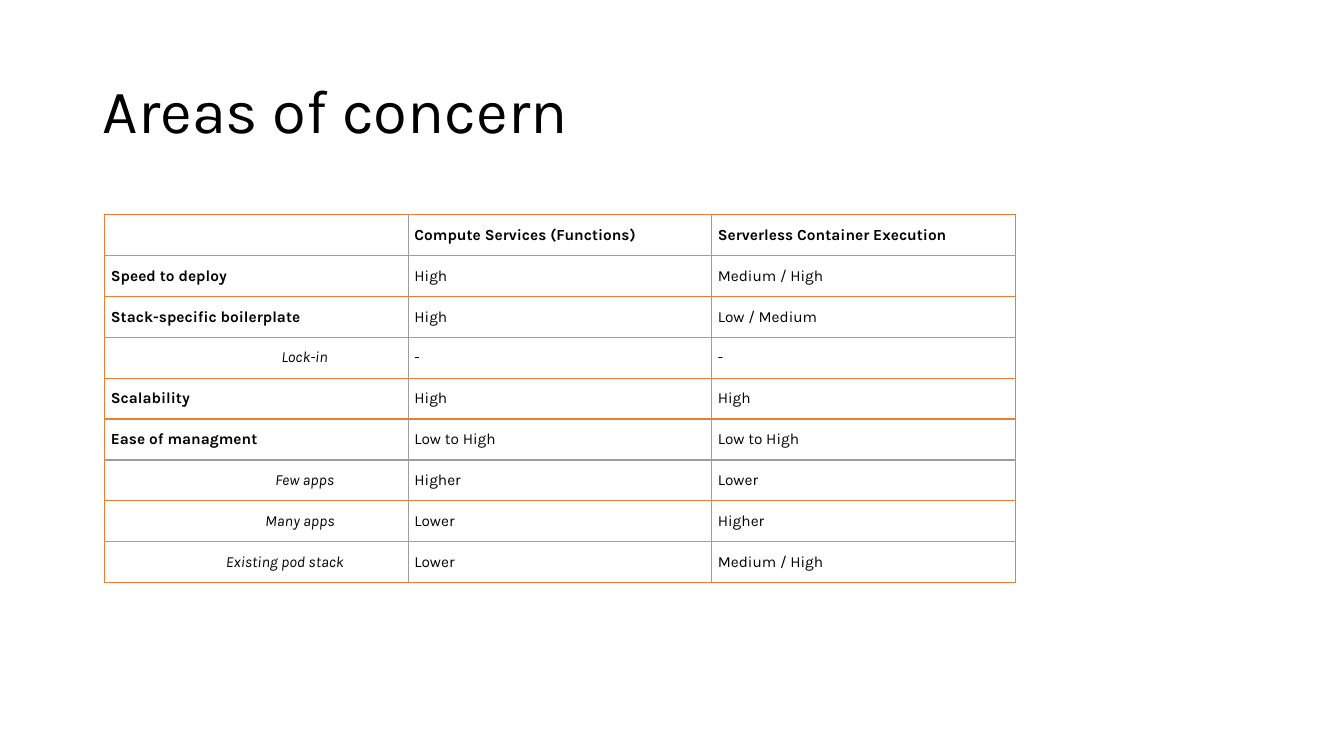
from lxml import etree
from pptx import Presentation
from pptx import util as u
from pptx.dml.color import RGBColor
from pptx.enum import text
from pptx.oxml.ns import qn

# Content: label, two ratings; sub-labels carry an indent in inches
TITLE = "Areas of concern"
HEAD = ("", "Compute Services (Functions)", "Serverless Container Execution")
ROWS = [
    HEAD,
    ("Speed to deploy", "High", "Medium / High"),
    ("Stack-specific boilerplate", "High", "Low / Medium"),
    ("Lock-in", "-", "-"),
    ("Scalability", "High", "High"),
    ("Ease of managment", "Low to High", "Low to High"),
    ("Few apps", "Higher", "Lower"),
    ("Many apps", "Lower", "Higher"),
    ("Existing pod stack", "Lower", "Medium / High"),
]
INDENT = {"Lock-in": 1.75, "Few apps": 1.69, "Many apps": 1.59,
          "Existing pod stack": 1.2}
ACCENT_LINES = {0, 2, 4, 5, 7, 9}  # horizontal rules, counted from the top

FONT = "Karla"
BLACK = RGBColor(0, 0, 0)
WHITE = RGBColor(255, 255, 255)
ORANGE = RGBColor(0xED, 0x7D, 0x31)
GRAY = RGBColor(0x9E, 0x9E, 0x9E)

# Grid
WIDE, HIGH = 13.33, 7.5
LEFT, TOP = 1.04, 2.13
COL_W, ROW_H = 3.01, 3.65 / 9
PAD_X, PAD_Y = 0.06, 0.03


def write(para, words, size, bold=False, italic=False):
    run = para.add_run()
    run.text = words
    font = run.font
    font.name, font.size = FONT, u.Pt(size)
    font.bold, font.italic = bold, italic
    font.color.rgb = BLACK


def edge(cell, side, pos, color):
    line = etree.Element(qn("a:ln" + side), w=str(u.Pt(1)))
    fill = etree.SubElement(line, qn("a:solidFill"))
    etree.SubElement(fill, qn("a:srgbClr"), val=str(color))
    cell._tc.get_or_add_tcPr().insert(pos, line)


def border(cell, row, col):
    def rule(line):
        return ORANGE if line in ACCENT_LINES else GRAY

    def post(line):
        return ORANGE if line in (0, len(HEAD)) else GRAY

    colors = (post(col), post(col + 1), rule(row), rule(row + 1))
    for pos, (side, color) in enumerate(zip("LRTB", colors)):
        edge(cell, side, pos, color)


def main():
    prs = Presentation()
    prs.slide_width, prs.slide_height = u.Inches(WIDE), u.Inches(HIGH)
    slide = prs.slides.add_slide(prs.slide_layouts[5])

    # Title
    title = slide.shapes.title
    title.left, title.top = u.Inches(0.92), u.Inches(0.4)
    title.width, title.height = u.Inches(11.5), u.Inches(1.45)
    frame = title.text_frame
    frame.vertical_anchor = text.MSO_ANCHOR.MIDDLE
    frame.auto_size = text.MSO_AUTO_SIZE.NONE
    para = frame.paragraphs[0]
    para.alignment = text.PP_ALIGN.LEFT
    para.line_spacing = 0.9
    write(para, TITLE, 44)

    # Table
    table = slide.shapes.add_table(
        len(ROWS), len(HEAD), u.Inches(LEFT), u.Inches(TOP),
        u.Inches(COL_W * len(HEAD)), u.Inches(ROW_H * len(ROWS))).table
    table.first_row = table.horz_banding = False
    for col in table.columns:
        col.width = u.Inches(COL_W)
    for row in table.rows:
        row.height = u.Inches(ROW_H)

    # Cells
    for r, row in enumerate(ROWS):
        for c, words in enumerate(row):
            cell = table.cell(r, c)
            cell.fill.solid()
            cell.fill.fore_color.rgb = WHITE
            cell.vertical_anchor = text.MSO_ANCHOR.MIDDLE
            cell.margin_left = u.Inches(INDENT.get(words, PAD_X))
            cell.margin_right = u.Inches(PAD_X)
            cell.margin_top = cell.margin_bottom = u.Inches(PAD_Y)
            border(cell, r, c)
            if words:
                sub = words in INDENT
                write(cell.text_frame.paragraphs[0], words, 11,
                      bold=(r == 0 or c == 0) and not sub, italic=sub)

    prs.save("out.pptx")


if __name__ == "__main__":
    main()
